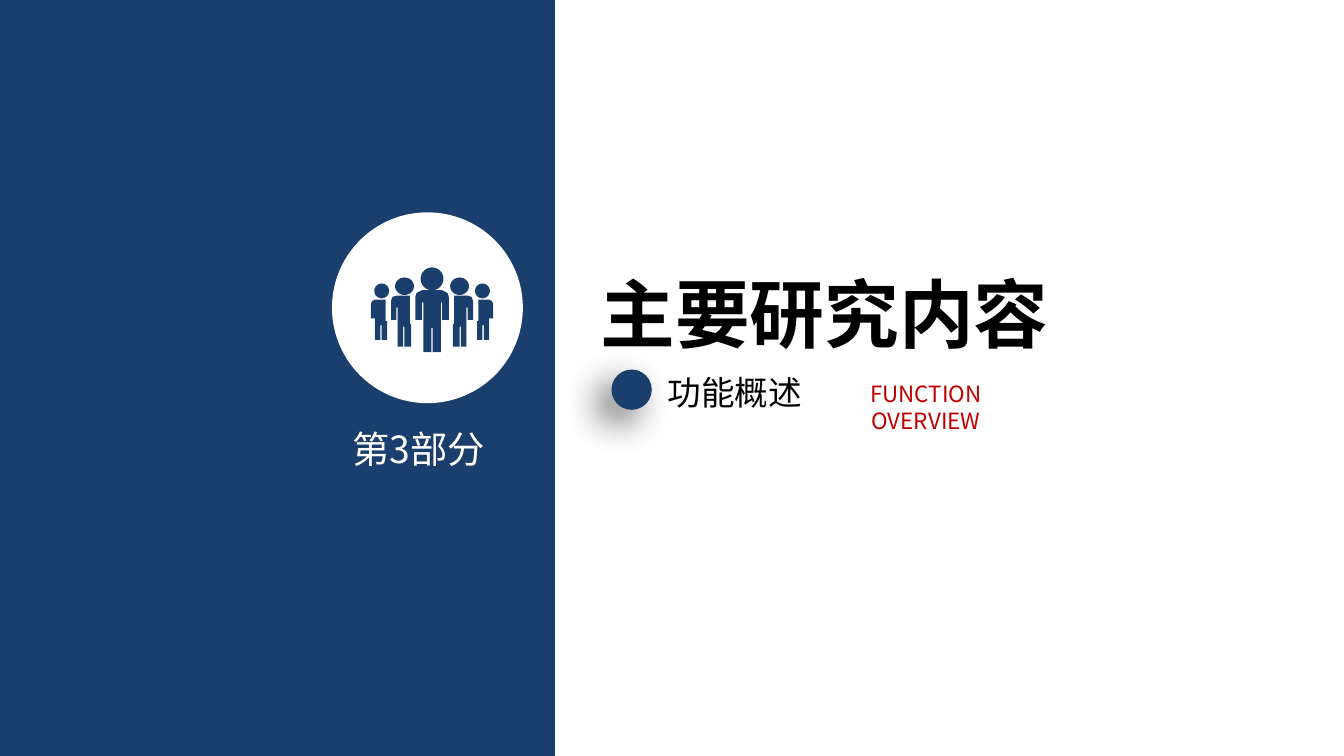
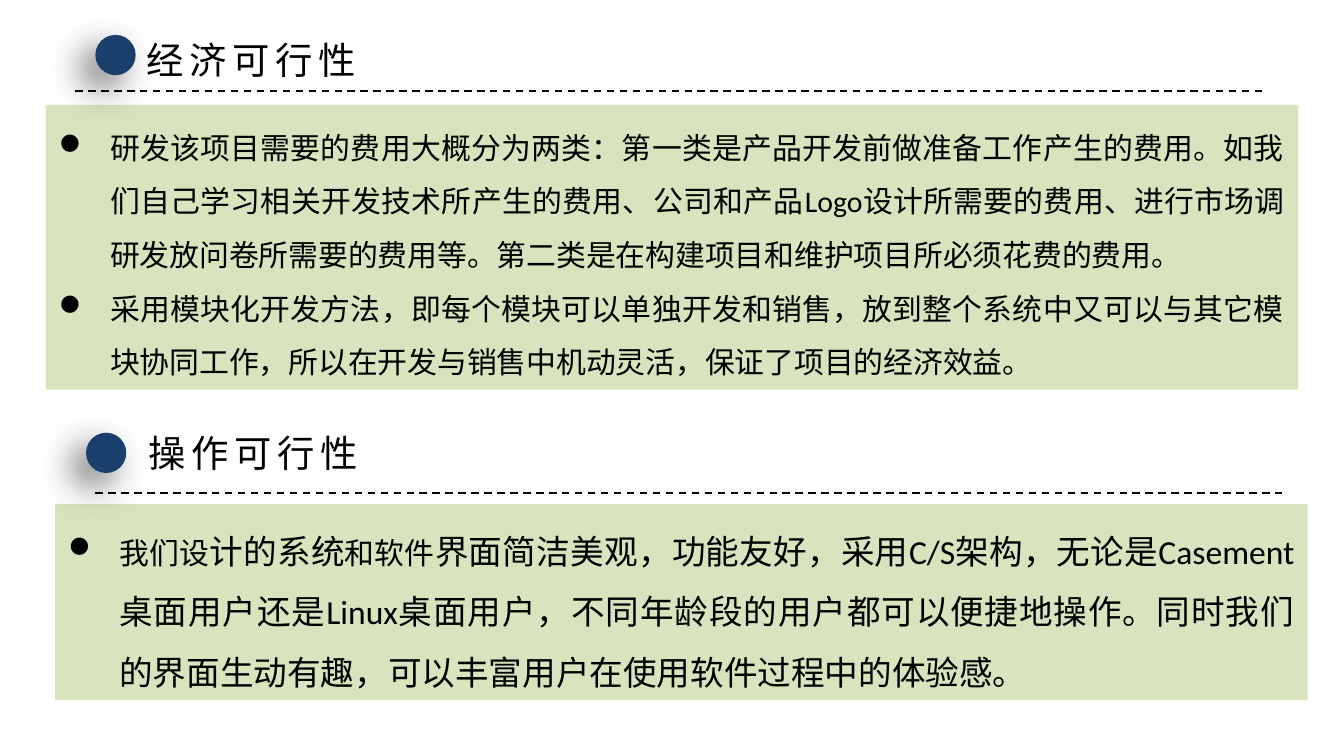
import math
from lxml import etree
from pptx import Presentation
from pptx.dml.color import RGBColor
from pptx.enum.dml import MSO_LINE
from pptx.enum.shapes import MSO_CONNECTOR, MSO_SHAPE
from pptx.enum.text import MSO_ANCHOR, MSO_AUTO_SIZE, PP_ALIGN
from pptx.oxml.ns import qn
from pptx.util import Inches, Pt

RECT, OVAL = MSO_SHAPE.RECTANGLE, MSO_SHAPE.OVAL
LEFT, CENTER, JUSTIFY = PP_ALIGN.LEFT, PP_ALIGN.CENTER, PP_ALIGN.JUSTIFY
NAVY = RGBColor(0x1A, 0x3F, 0x6C)
GREEN = RGBColor(0xD7, 0xE4, 0xBD)
RED = RGBColor(0xC0, 0x00, 0x00)
BLACK = RGBColor(0, 0, 0)
WHITE = RGBColor(255, 255, 255)
HEAD_FONT, BODY_FONT = "Noto Sans CJK SC", "Calibri"
WIDTH = 10
HEIGHT = WIDTH * 9 / 16
DOT = 0.3


def write(sp, paragraphs, at=None, font=HEAD_FONT, color=BLACK, bold=False,
          align=LEFT, wrap=False, inset=None, spacing=None, bullet=False):
    """Fill a shape; each paragraph is a list of (text, size) runs."""
    if at:
        sp.left, sp.top, sp.width, sp.height = map(Inches, at)
    tf = sp.text_frame
    tf.word_wrap = wrap
    tf.auto_size = MSO_AUTO_SIZE.SHAPE_TO_FIT_TEXT
    tf.vertical_anchor = MSO_ANCHOR.TOP
    if inset is not None:
        tf.margin_left = tf.margin_right = Inches(inset)
        tf.margin_top = tf.margin_bottom = Inches(inset)
    for i, runs in enumerate(paragraphs):
        p = tf.add_paragraph() if i else tf.paragraphs[0]
        p.alignment = align
        if bullet:
            p.line_spacing = 1.5
            pPr = p._p.get_or_add_pPr()
            pPr.set("marL", str(Inches(0.38)))
            pPr.set("indent", str(-Inches(0.38)))
            etree.SubElement(pPr, qn("a:buFont"), typeface="Wingdings",
                             pitchFamily="2", charset="2")
            etree.SubElement(pPr, qn("a:buChar"), char="l")
        for text, size in runs:
            r = p.add_run()
            r.text = text
            r.font.size, r.font.bold, r.font.name = Pt(size), bold, font
            r.font.color.rgb = color
            rPr = r._r.get_or_add_rPr()
            etree.SubElement(rPr, qn("a:ea"), typeface=font)
            if spacing:
                rPr.set("spc", str(spacing * 100))


def add_block(slide, kind, at, fill, shadow=False):
    sp = slide.shapes.add_shape(kind, *map(Inches, at))
    sp.fill.solid()
    sp.fill.fore_color.rgb = fill
    sp.line.fill.background()
    sp.shadow.inherit = False
    if shadow:
        effects = sp._element.spPr.find(qn("a:effectLst"))
        outer = etree.SubElement(
            effects, qn("a:outerShdw"), blurRad=str(Pt(20)), dist=str(Pt(10)),
            dir=str(135 * 60000), algn="tr", rotWithShape="0")
        clr = etree.SubElement(outer, qn("a:srgbClr"), val="000000")
        etree.SubElement(clr, qn("a:alpha"), val="60000")
    return sp


prs = Presentation()
prs.slide_width, prs.slide_height = Inches(WIDTH), Inches(HEIGHT)
title_only = prs.slide_layouts[5]

# Slide 1: section divider
s = prs.slides.add_slide(title_only)
add_block(s, RECT, (0, 0, 4.13, HEIGHT), NAVY)
write(s.shapes.title, [[("主要研究内容", 40)]], (4.37, 1.94, 3.55, 0.77), bold=True)
write(s.shapes.add_textbox(0, 0, 0, 0), [[("第3部分", 20)]],
      (2.62, 3.17, 1.36, 0.34), color=WHITE, wrap=True, inset=0)
add_block(s, OVAL, (2.47, 1.58, 1.42, 1.42), WHITE)

# Team icon: the left half is mirrored, the leader stands in the middle
AXIS = 3.215
heads = [(2.84, 2.165, 0.055, 0.055), (3.01, 2.13, 0.07, 0.065)]
bodies = [
    [(2.79, 2.23), (2.87, 2.23), (2.87, 2.39), (2.88, 2.39), (2.88, 2.53),
     (2.84, 2.53), (2.84, 2.42), (2.83, 2.42), (2.83, 2.53), (2.79, 2.53),
     (2.79, 2.37), (2.76, 2.37), (2.76, 2.26), (2.77, 2.24)],
    [(2.95, 2.2), (3.05, 2.2), (3.05, 2.41), (3.06, 2.41), (3.06, 2.58),
     (3.01, 2.58), (3.01, 2.43), (3, 2.43), (3, 2.58), (2.96, 2.58),
     (2.96, 2.29), (2.95, 2.29), (2.95, 2.38), (2.91, 2.38), (2.91, 2.24),
     (2.92, 2.21)],
]
leader = [(3.14, 2.16), (3.29, 2.16), (3.33, 2.18), (3.34, 2.21), (3.34, 2.38),
          (3.29, 2.38), (3.29, 2.25), (3.28, 2.25), (3.28, 2.62), (3.22, 2.62),
          (3.22, 2.44), (3.21, 2.44), (3.21, 2.62), (3.15, 2.62), (3.15, 2.25),
          (3.14, 2.25), (3.14, 2.38), (3.09, 2.38), (3.09, 2.21), (3.1, 2.18)]
STEPS = 32
angles = [2 * math.pi * i / STEPS for i in range(STEPS)]
rounds = [[(x + rx * math.cos(a), y + ry * math.sin(a)) for a in angles]
          for x, y, rx, ry in heads + [(AXIS, 2.075, 0.085, 0.085)]]
half = rounds[:2] + bodies
mirrored = [[(2 * AXIS - x, y) for x, y in outline] for outline in half]
outlines = [[(Inches(x), Inches(y)) for x, y in outline]
            for outline in half + mirrored + [rounds[2], leader]]
builder = s.shapes.build_freeform(*outlines[0][0])
for i, outline in enumerate(outlines):
    if i:
        builder.move_to(*outline[0])
    builder.add_line_segments(outline[1:], close=True)
sp = builder.convert_to_shape()
sp.fill.solid()
sp.fill.fore_color.rgb = NAVY
sp.line.fill.background()
sp.shadow.inherit = False

# Topic line
write(s.shapes.add_textbox(0, 0, 0, 0), [[("功能概述", 18)]], (4.87, 2.72, 1.21, 0.4))
add_block(s, OVAL, (4.55, 2.75, DOT, DOT), NAVY, shadow=True)
write(s.shapes.add_textbox(0, 0, 0, 0), [[("FUNCTION OVERVIEW", 12)]],
      (6.08, 2.78, 1.62, 0.3), color=RED, align=CENTER, wrap=True)

# Slide 2: two feasibility sections
s = prs.slides.add_slide(title_only)
economy = [
    [("研发该项目需要的费用大概分为两类：第一类是产品开发前做准备工作产生的费用。"
      "如我们自己学习相关开发技术所产生的费用、公司和产品Logo设计所需要的费用、"
      "进行市场调研发放问卷所需要的费用等。第二类是在构建项目和维护项目所必须花费的费用。", 16)],
    [("采用模块化开发方法，即每个模块可以单独开发和销售，放到整个系统中又可以与其它模块"
      "协同工作，所以在开发与销售中机动灵活，保证了项目的经济效益。", 16)],
]
operation = [
    [("我们设", 16), ("计的系统", 18), ("和软件", 16),
     ("界面简洁美观，功能友好，采用C/S架构，无论是Casement桌面用户还是Linux桌面用户，"
      "不同年龄段的用户都可以便捷地操作。同时我们的界面生动有趣，"
      "可以丰富用户在使用软件过程中的体验感。", 18)],
]
# heading, its left and top, dot left and top, rule left and top, panel box, body
sections = [
    ("经济可行性", (0.99, 0.23), (0.71, 0.26), (0.56, 0.68), (0.34, 0.78, 9.32, 2.12), economy),
    ("操作可行性", (1.01, 3.15), (0.64, 3.22), (0.71, 3.67), (0.41, 3.75, 9.32, 1.46), operation),
]
for i, (heading, head_at, dot_at, (x, y), panel_at, body) in enumerate(sections):
    line = s.shapes.add_connector(MSO_CONNECTOR.STRAIGHT, Inches(x), Inches(y),
                                  Inches(x + 8.87), Inches(y))
    line.line.color.rgb = BLACK
    line.line.width = Pt(1)
    line.line.dash_style = MSO_LINE.DASH
    etree.SubElement(line._element.spPr, qn("a:effectLst"))
    panel = add_block(s, RECT, panel_at, GREEN)
    write(panel, body, font=BODY_FONT, align=JUSTIFY, wrap=True, bullet=True)
    add_block(s, OVAL, (*dot_at, DOT, DOT), NAVY, shadow=True)
    sp = s.shapes.add_textbox(0, 0, 0, 0) if i else s.shapes.title
    write(sp, [[(heading, 20)]], (*head_at, 1.8, 0.44), spacing=3)

prs.save("out.pptx")
